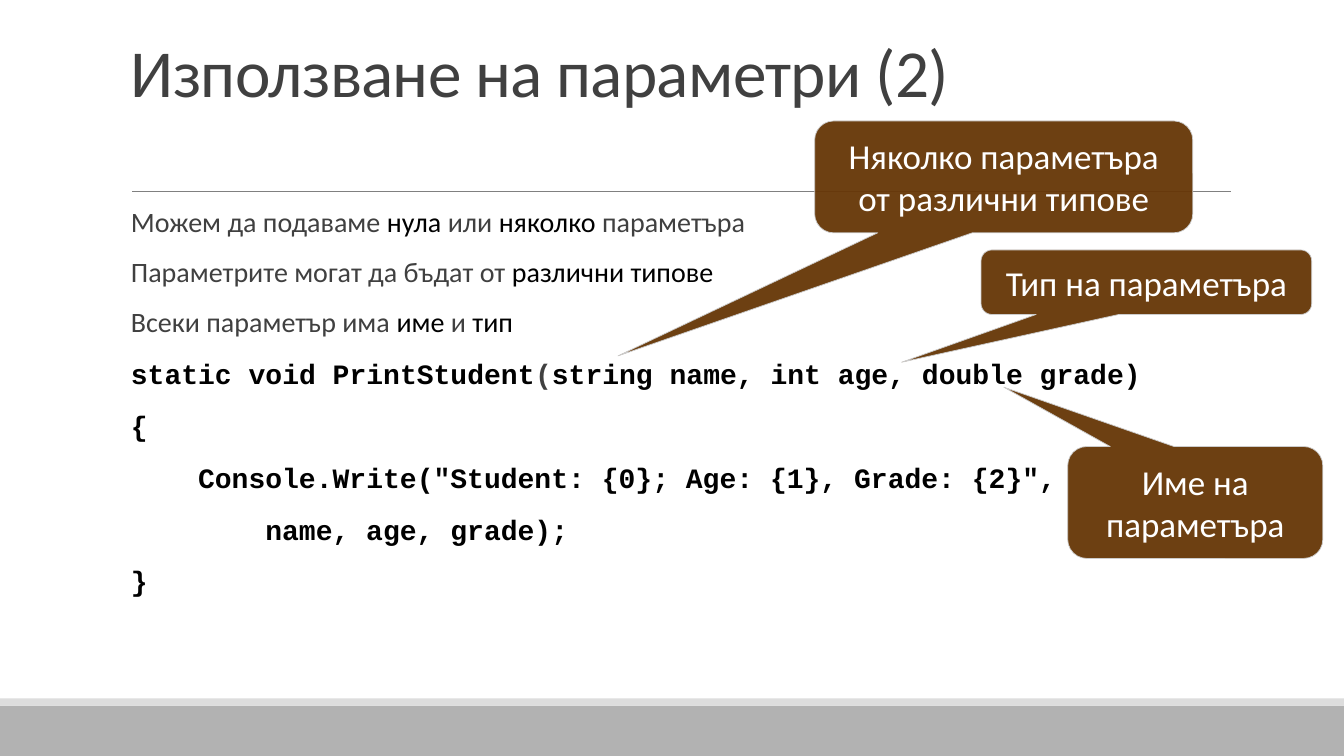
import pptx
import pptx.util
import pptx.dml.color
import pptx.enum.shapes
import pptx.enum.text
import pptx.oxml
import pptx.oxml.ns
from lxml import etree

Inches = pptx.util.Inches
Pt = pptx.util.Pt
Shape = pptx.enum.shapes.MSO_SHAPE
Anchor = pptx.enum.text.MSO_ANCHOR
Align = pptx.enum.text.PP_ALIGN

THEME = {
    "gray": "404040", "black": "000000", "white": "FFFFFF",
    "brown": "663606", "edge": "CCCCCC", "rule": "808080",
    "foot": "B2B2B2", "strip": "DDDDDD",
    "font": "Calibri", "mono": "Courier New",
    "title": 48, "body": 20, "call": 25,
}

TITLE = "Използване на параметри (2)"
POINTS = [
    [("Можем да подаваме ", "gray"), ("нула ", "black"), ("или ", "gray"),
     ("няколко ", "black"), ("параметъра", "gray")],
    [("Параметрите могат да бъдат от ", "gray"), ("различни типове", "black")],
    [("Всеки параметър има ", "gray"), ("име ", "black"), ("и ", "gray"),
     ("тип", "black")],
]
CODE = [
    (0, [("static void PrintStudent", "black"), ("(", "gray"),
         ("string name, int age, double grade)", "black")]),
    (0, [("{", "black")]),
    (4, [('Console.Write("Student: {0}; Age: {1}, Grade: {2}",', "black")]),
    (8, [("name, age, grade);", "black")]),
    (0, [("}", "black")]),
]
CALLS = [
    ("Няколко параметъра от различни типове", (8.08, 1.2, 3.75, 1.11), (-1.02, 1.6)),
    ("Тип на параметъра", (9.73, 2.48, 3.28, 0.64), (-0.74, 1.24)),
    ("Име на параметъра", (10.59, 4.43, 2.53, 1.11), (-0.75, -1.03)),
]
BANDS = [((0, 7, 13.33, 0.5), "foot"), ((0, 6.93, 13.33, 0.07), "strip")]


def color(name):
    return pptx.dml.color.RGBColor.from_string(THEME[name])


def style(run, size, tint, font="font", bold=False):
    run.font.size = Pt(THEME[size])
    run.font.name = THEME[font]
    run.font.color.rgb = color(tint)
    run.font.bold = bold


def frame(shape, sides, anchor):
    text = shape.text_frame
    text.word_wrap = True
    text.vertical_anchor = anchor
    (text.margin_left, text.margin_top,
     text.margin_right, text.margin_bottom) = map(Inches, sides)
    return text


def add_box(slide, place, sides, anchor):
    return frame(slide.shapes.add_textbox(*map(Inches, place)), sides, anchor)


def add_shape(slide, kind, place, tint):
    shape = slide.shapes.add_shape(kind, *map(Inches, place))
    shape.shadow.inherit = False
    shape.fill.solid()
    shape.fill.fore_color.rgb = color(tint)
    shape.line.fill.background()
    return shape


def add_rule(slide):
    rule = slide.shapes.add_connector(
        pptx.enum.shapes.MSO_CONNECTOR.STRAIGHT,
        Inches(1.31), Inches(1.9), Inches(12.21), Inches(1.9))
    rule.line.color.rgb = color("rule")
    rule.line.width = Pt(0.5)
    etree.SubElement(rule._element.spPr, pptx.oxml.ns.qn("a:effectLst"))


def add_title(slide):
    text = add_box(slide, (1.2, 0.31, 11, 1.59), (0.1, 0.05, 0.1, 0.8), Anchor.BOTTOM)
    text.text = TITLE
    line = text.paragraphs[0]
    line.line_spacing = 0.85
    style(line.runs[0], "title", "gray")
    line.runs[0].font._element.set("spc", "-50")


def add_body(slide):
    text = add_box(slide, (1.2, 2.02, 11, 4.4), (0.1, 0.05, 0, 0.05), Anchor.TOP)
    rows = [(0, parts, "font") for parts in POINTS]
    rows += [(depth, parts, "mono") for depth, parts in CODE]
    for i, (depth, parts, font) in enumerate(rows):
        line = text.paragraphs[0] if i == 0 else text.add_paragraph()
        code = font == "mono"
        line.line_spacing = Pt(23) if code else 0.9
        line.space_before = Pt(12)
        line.space_after = Pt(2)
        if depth:
            props = line._p.get_or_add_pPr()
            props.set("marL", str(Pt(depth * THEME["body"] * 0.6)))
            props.set("indent", "0")
        for words, tint in parts:
            run = line.add_run()
            run.text = words
            style(run, "body", tint, font, code)


def add_call(slide, words, place, tip):
    shape = add_shape(slide, Shape.ROUNDED_RECTANGULAR_CALLOUT, place, "brown")
    shape.adjustments[0], shape.adjustments[1] = tip
    shape.adjustments[2] = 0.17
    fill = shape._element.spPr.find(pptx.oxml.ns.qn("a:solidFill"))
    etree.SubElement(fill[0], pptx.oxml.ns.qn("a:alpha"), val="95000")
    shape.line.color.rgb = color("edge")
    shape.line.width = Pt(0.5)
    text = frame(shape, (0.1, 0.08, 0.1, 0.08), Anchor.MIDDLE)
    text.text = words
    line = text.paragraphs[0]
    line.alignment = Align.CENTER
    line.line_spacing = Pt(30)
    style(line.runs[0], "call", "white")


def main():
    deck = pptx.Presentation()
    deck.slide_width = Inches(13.33)
    deck.slide_height = Inches(7.5)
    slide = deck.slides.add_slide(deck.slide_layouts[6])
    for place, tint in BANDS:
        add_shape(slide, Shape.RECTANGLE, place, tint)
    add_rule(slide)
    add_title(slide)
    add_body(slide)
    for call in CALLS:
        add_call(slide, *call)
    deck.save("out.pptx")


if __name__ == "__main__":
    main()
